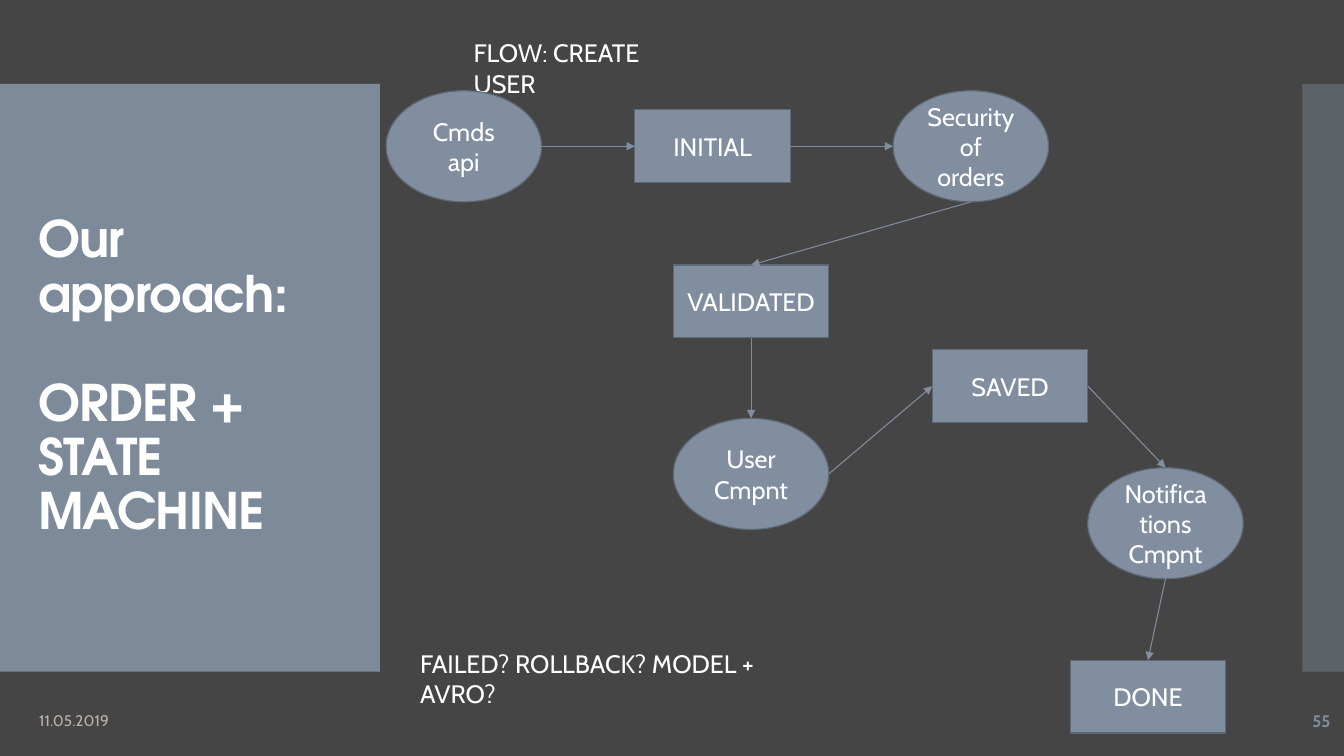
import pptx
import pptx.util
import pptx.dml.color
import pptx.enum.shapes
import pptx.enum.text
import pptx.oxml
import pptx.oxml.ns

Pt = pptx.util.Pt
RGB = pptx.dml.color.RGBColor.from_string
MSO = pptx.enum.shapes.MSO_SHAPE
ALIGN = pptx.enum.text.PP_ALIGN
MIDDLE = pptx.enum.text.MSO_ANCHOR.MIDDLE
qn = pptx.oxml.ns.qn

COLORS = {"bg": "454545", "accent": "818E9F", "edge": "5F6976",
          "text": "FFFFFF", "date": "BEB1A8"}
BODY = {"name": "Cabin", "size": Pt(18), "bold": False}
HEADING = {"name": "TeX Gyre Adventor", "size": Pt(36), "bold": True}
STATE, COMPONENT = (111, 52), (111, 79.4)

# name: (text, size, centre x, centre y)
NODES = {
    "api": ("Cmds api", COMPONENT, 331.3, 104.5),
    "initial": ("INITIAL", STATE, 509, 104.5),
    "security": ("Security of orders", COMPONENT, 693.5, 104.5),
    "validated": ("VALIDATED", STATE, 536.5, 215.3),
    "user": ("User Cmpnt", COMPONENT, 536.5, 338.5),
    "saved": ("SAVED", STATE, 721.5, 275.8),
    "notify": ("Notifications Cmpnt", COMPONENT, 832.5, 373.8),
    "done": ("DONE", STATE, 820, 497.6),
}
# from node, side, to node, side
ARROWS = [
    ("api", "right", "initial", "left"),
    ("initial", "right", "security", "left"),
    ("security", "bottom", "validated", "top"),
    ("validated", "bottom", "user", "top"),
    ("user", "right", "saved", "left"),
    ("saved", "right", "notify", "top"),
    ("notify", "bottom", "done", "top"),
]
SIDES = {"left": (-0.5, 0), "right": (0.5, 0), "top": (0, -0.5), "bottom": (0, 0.5)}


def add_xml(parent, tag, **attrs):
    child = pptx.oxml.parse_xml(f"<a:{tag} {pptx.oxml.ns.nsdecls('a')}/>")
    for key, value in attrs.items():
        child.set(key, value)
    parent.append(child)


def write(p, text, fmt, color="text", align=ALIGN.LEFT):
    p.alignment = align
    r = p.add_run()
    r.text = text
    for key, value in fmt.items():
        setattr(r.font, key, value)
    r.font.color.rgb = RGB(COLORS[color])
    return r


def add_block(slide, kind, box):
    sp = slide.shapes.add_shape(kind, *map(Pt, box))
    sp.shadow.inherit = False
    sp.fill.solid()
    sp.fill.fore_color.rgb = RGB(COLORS["accent"])
    return sp


def add_panel(slide, box, opacity):
    sp = add_block(slide, MSO.RECTANGLE, box)
    sp.line.fill.background()
    color = sp._element.spPr.find(qn("a:solidFill")).find(qn("a:srgbClr"))
    add_xml(color, "alpha", val=str(opacity * 1000))


def add_label(slide, box, text, fmt=BODY, color="text", align=ALIGN.LEFT, anchor=None):
    tf = slide.shapes.add_textbox(*map(Pt, box)).text_frame
    tf.word_wrap = True
    tf.vertical_anchor = anchor
    write(tf.paragraphs[0], text, fmt, color, align)


def add_title(slide, box, lines):
    title = slide.shapes.title
    slide.shapes._spTree.append(title._element)  # in front of the panel
    title.left, title.top, title.width, title.height = map(Pt, box)
    tf = title.text_frame
    tf.word_wrap = True
    tf.vertical_anchor = MIDDLE
    for i, line in enumerate(lines):
        p = tf.add_paragraph() if i else tf.paragraphs[0]
        p.line_spacing = 0.9
        p.space_before = Pt(39 if i else 0)
        r = write(p, line, HEADING)
        r._r.get_or_add_rPr().set("spc", "-60")


def add_node(slide, text, size, x, y):
    w, h = size
    kind = MSO.RECTANGLE if size == STATE else MSO.OVAL
    sp = add_block(slide, kind, (x - w / 2, y - h / 2, w, h))
    sp.line.color.rgb = RGB(COLORS["edge"])
    sp.line.width = Pt(0.85)
    tf = sp.text_frame
    tf.word_wrap = True
    tf.vertical_anchor = MIDDLE
    write(tf.paragraphs[0], text, BODY, align=ALIGN.CENTER)


def side_point(name, side):
    _, (w, h), x, y = NODES[name]
    dx, dy = SIDES[side]
    return Pt(x + dx * w), Pt(y + dy * h)


def add_arrow(slide, start, end):
    cxn = slide.shapes.add_connector(
        pptx.enum.shapes.MSO_CONNECTOR.STRAIGHT, *start, *end)
    cxn.line.color.rgb = RGB(COLORS["accent"])
    cxn.line.width = Pt(0.75)
    add_xml(cxn.line._get_or_add_ln(), "tailEnd", type="triangle")
    add_xml(cxn._element.spPr, "effectLst")


def add_flow(slide):
    for node in NODES.values():
        add_node(slide, *node)
    for source, out_side, target, in_side in ARROWS:
        add_arrow(slide, side_point(source, out_side), side_point(target, in_side))


def add_footer(slide, y, h):
    add_label(slide, (20.9, y, 216, h), "11.05.2019", {**BODY, "size": Pt(11)},
              "date", anchor=MIDDLE)
    add_label(slide, (837.4, y, 120, h), "55", {**BODY, "size": Pt(12), "bold": True},
              "accent", ALIGN.RIGHT, MIDDLE)


def main():
    prs = pptx.Presentation()
    prs.slide_width, prs.slide_height = Pt(960), Pt(540)
    slide = prs.slides.add_slide(prs.slide_layouts[5])
    slide.background.fill.solid()
    slide.background.fill.fore_color.rgb = RGB(COLORS["bg"])
    add_panel(slide, (0, 60, 271.4, 419.8), 95)
    add_panel(slide, (930.2, 60, 29.8, 419.8), 40)
    add_title(slide, (20, 88.6, 232, 362), ["Our approach:", "ORDER + STATE MACHINE"])
    add_footer(slide, 500.4, 28.8)
    add_label(slide, (331.2, 23.3, 172.8, 29), "FLOW: CREATE USER")
    add_flow(slide)
    add_label(slide, (293, 459.2, 302, 29), "FAILED? ROLLBACK? MODEL + AVRO?")
    prs.save("out.pptx")


if __name__ == "__main__":
    main()
